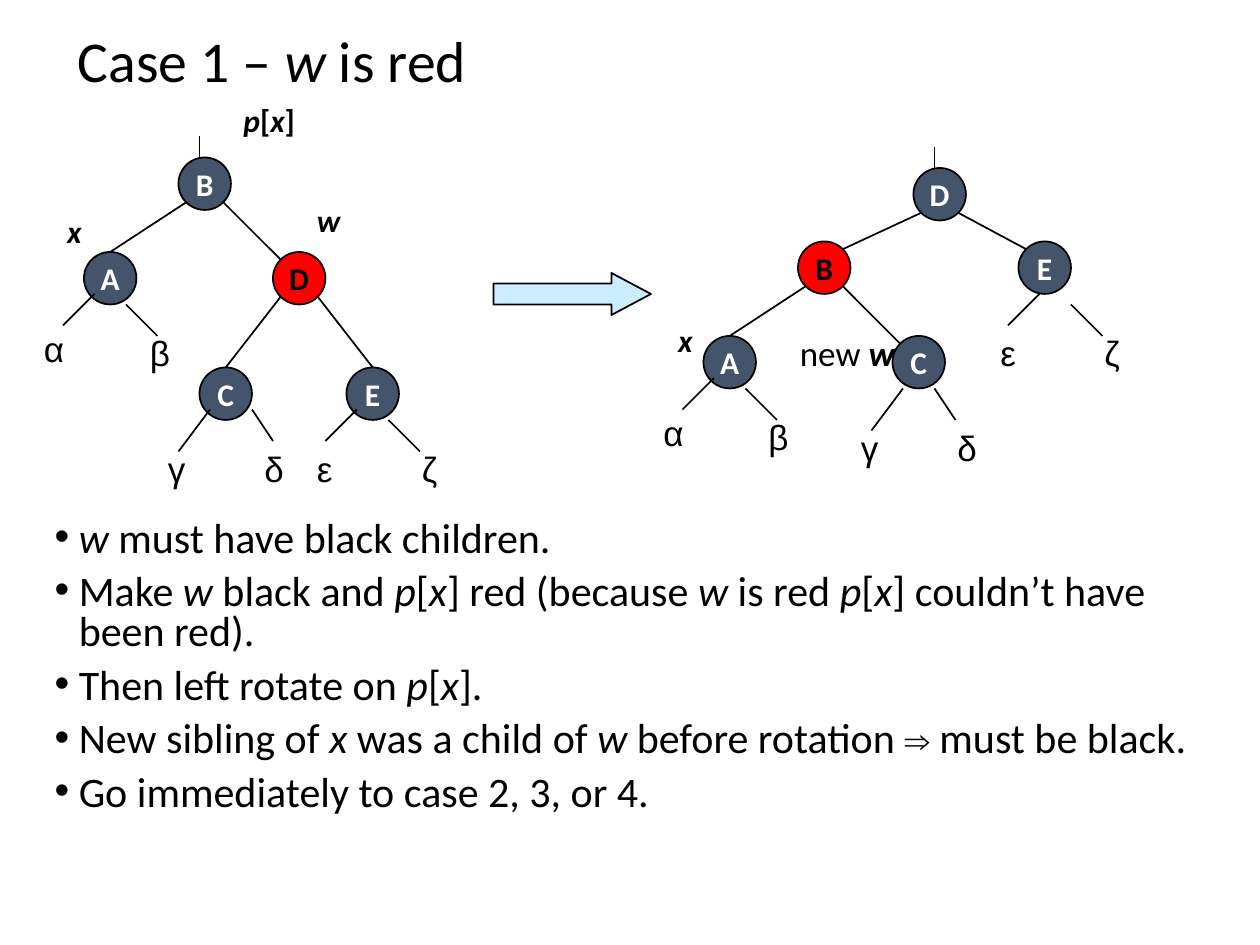
from math import cos, radians, sin

from lxml.etree import SubElement
from pptx import Presentation
from pptx.dml.color import RGBColor
from pptx.enum.shapes import MSO_CONNECTOR, MSO_SHAPE
from pptx.enum.text import MSO_ANCHOR, MSO_AUTO_SIZE, PP_ALIGN
from pptx.oxml.ns import qn
from pptx.util import Pt

PX = 914400 // 120  # 120 px to the inch
NODE = 50
BLACK, WHITE, RED, SLATE, PALE_BLUE = "000000", "FFFFFF", "FF0000", "44546A", "CCECFF"

# In all texts *...* is italic and ^...^ is a symbol in Arial.
TITLE = "Case 1 – *w* is red"
BULLETS = [
    "*w *must have black children.",
    "Make *w *black and *p*[*x*] red (because *w* is red *p*[*x*] couldn’t have been red).",
    "Then left rotate on *p*[*x*].",
    "New sibling of *x *was a child of *w *before rotation ^⇒^ must be black.",
    "Go immediately to case 2, 3, or 4.",
]

# Edges: parent, child, exit angle of parent, entry angle of child
# (clockwise from the right; 270 is the top).
# Leaves: label, stub start, stub end, label corner.
TREES = [
    {
        "root_stub": ((190, 130), (190, 150)),
        "red": "D",
        "nodes": {"B": (170, 150), "A": (80, 240), "D": (260, 240),
                  "C": (190, 350), "E": (330, 350)},
        "edges": [("B", "A", 135, 270), ("B", "D", 45, 225),
                  ("D", "C", 135, 270), ("D", "E", 45, 270)],
        "leaves": [
            ("α", (90, 280), (60, 310), (30, 306)),
            ("β", (120, 290), (150, 320), (131, 310)),
            ("γ", (200, 390), (170, 430), (148, 420)),
            ("δ", (240, 390), (260, 420), (240, 420)),
            ("ε", (340, 390), (310, 420), (290, 420)),
            ("ζ", (370, 400), (400, 430), (390, 420)),
        ],
    },
    {
        "root_stub": ((890, 140), (890, 160)),
        "red": "B",
        "nodes": {"D": (870, 160), "B": (760, 230), "E": (970, 230),
                  "A": (670, 320), "C": (850, 320)},
        "edges": [("D", "B", 135, 315), ("D", "E", 45, 225),
                  ("B", "A", 135, 270), ("B", "C", 45, 225)],
        "leaves": [
            ("α", (680, 360), (650, 390), (620, 386)),
            ("β", (710, 370), (740, 400), (720, 390)),
            ("γ", (860, 370), (830, 410), (808, 400)),
            ("δ", (890, 370), (910, 400), (900, 400)),
            ("ε", (990, 280), (960, 310), (941, 310)),
            ("ζ", (1020, 290), (1050, 320), (1040, 310)),
        ],
    },
]
LEAF_WIDTHS = {"α": 44, "β": 42, "γ": 42, "δ": 41, "ε": 38, "ζ": 41}
POINTERS = [  # text, left, top, width
    ("*x*", 52, 196, 37),
    ("*w*", 290, 186, 46),
    ("*x*", 634, 300, 37),
    ("*p*[*x*]", 220, 90, 73),
]


def emu(*lengths):
    return [round(length * PX) for length in lengths]


def rgb(color):
    return RGBColor.from_string(color)


def write(paragraph, text, size=20, font="Calibri", color=BLACK, bold=False,
          bold_italic=False, align=PP_ALIGN.LEFT, line_spacing=None, space_before=None):
    paragraph.alignment = align
    paragraph.line_spacing = line_spacing
    if space_before is not None:
        paragraph.space_before = Pt(space_before)
    for index, piece in enumerate(text.split("*")):
        italic = index % 2 == 1
        for part_index, part in enumerate(piece.split("^")):
            if not part:
                continue
            symbol = part_index % 2 == 1
            run = paragraph.add_run()
            run.text = part
            run.font.size = Pt(20 if symbol else size)
            run.font.name = "Arial" if symbol else font
            run.font.color.rgb = rgb(color)
            run.font.bold = bold or (bold_italic and italic)
            run.font.italic = italic


def add_label(slide, text, left, top, width, height, wrap=False, **text_format):
    frame = slide.shapes.add_textbox(*emu(left, top, width, height)).text_frame
    frame.word_wrap = wrap
    frame.auto_size = MSO_AUTO_SIZE.SHAPE_TO_FIT_TEXT
    write(frame.paragraphs[0], text, **text_format)


def add_outlined(slide, preset, left, top, width, height, fill):
    shape = slide.shapes.add_shape(preset, *emu(left, top, width, height))
    shape.shadow.inherit = False
    shape.fill.solid()
    shape.fill.fore_color.rgb = rgb(fill)
    shape.line.color.rgb = rgb(BLACK)
    shape.line.width = Pt(1)
    return shape


def add_line(slide, start, end):
    line = slide.shapes.add_connector(MSO_CONNECTOR.STRAIGHT, *emu(*start, *end))
    line.line.color.rgb = rgb(BLACK)
    line.line.width = Pt(1)
    SubElement(line._element.spPr, qn("a:effectLst"))
    return line


def add_node(slide, name, corner, is_red):
    node = add_outlined(slide, MSO_SHAPE.OVAL, *corner, NODE, NODE, RED if is_red else SLATE)
    frame = node.text_frame
    frame.word_wrap = False
    frame.vertical_anchor = MSO_ANCHOR.MIDDLE
    write(frame.paragraphs[0], name, size=18, bold=True, align=PP_ALIGN.CENTER,
          color=BLACK if is_red else WHITE)
    return node


def rim_point(corner, angle):
    radius = NODE / 2
    return (corner[0] + radius + radius * cos(radians(angle)),
            corner[1] + radius + radius * sin(radians(angle)))


def add_tree(slide, tree):
    corners = tree["nodes"]
    nodes = {name: add_node(slide, name, corner, name == tree["red"])
             for name, corner in corners.items()}
    add_line(slide, *tree["root_stub"])
    for parent, child, exit_angle, entry_angle in tree["edges"]:
        edge = add_line(slide, rim_point(corners[parent], exit_angle),
                        rim_point(corners[child], entry_angle))
        if entry_angle == 270:
            edge.end_connect(nodes[child], 0)
    for label, start, end, corner in tree["leaves"]:
        add_line(slide, start, end)
        add_label(slide, label, *corner, LEAF_WIDTHS[label], 53, font="Arial")


def place(placeholder, left, top, width, height, anchor):
    placeholder.left, placeholder.top, placeholder.width, placeholder.height = emu(
        left, top, width, height)
    frame = placeholder.text_frame
    frame.word_wrap = True
    frame.auto_size = MSO_AUTO_SIZE.NONE
    frame.vertical_anchor = anchor
    return frame


def add_bullets(frame):
    for index, text in enumerate(BULLETS):
        paragraph = frame.add_paragraph() if index else frame.paragraphs[0]
        write(paragraph, text, size=24, line_spacing=0.8, space_before=7.5)
        properties = paragraph._p.get_or_add_pPr()
        indent = emu(23)[0]
        properties.set("marL", str(indent))
        properties.set("indent", str(-indent))
        SubElement(properties, qn("a:buFont"), typeface="Arial")
        SubElement(properties, qn("a:buChar"), char="•")


def main():
    presentation = Presentation()
    presentation.slide_width, presentation.slide_height = emu(1200, 900)
    slide = presentation.slides.add_slide(presentation.slide_layouts[1])
    title = place(slide.shapes.title, 62, 1, 1200, 120, MSO_ANCHOR.MIDDLE)
    write(title.paragraphs[0], TITLE, size=33, line_spacing=0.9)
    add_bullets(place(slide.placeholders[1], 40, 490, 1110, 340, MSO_ANCHOR.TOP))

    for tree in TREES:
        add_tree(slide, tree)
    arrow = add_outlined(slide, MSO_SHAPE.RIGHT_ARROW, 470, 260, 150, 40, PALE_BLUE)
    arrow.adjustments[1] = 0.94
    for text, left, top, width in POINTERS:
        add_label(slide, text, left, top, width, 48, size=18, bold=True)
    add_label(slide, "new *w*", 750, 310, 120, 53, wrap=True, bold_italic=True)
    presentation.save("out.pptx")


if __name__ == "__main__":
    main()
